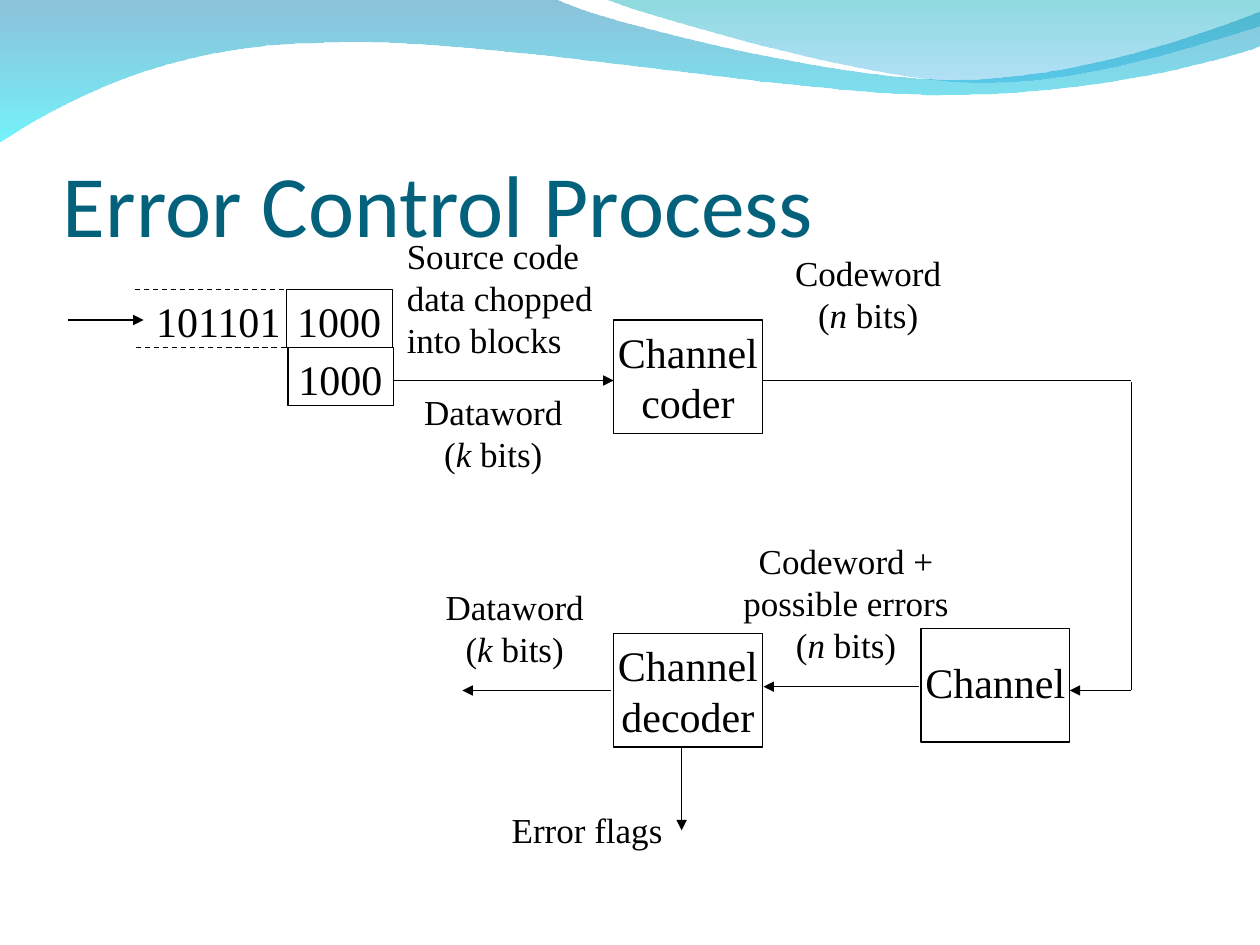
from dataclasses import dataclass

from lxml.etree import SubElement
from pptx import Presentation
from pptx.dml.color import RGBColor
from pptx.enum.dml import MSO_LINE
from pptx.enum.shapes import MSO_CONNECTOR, MSO_SHAPE
from pptx.enum.text import MSO_ANCHOR, PP_ALIGN
from pptx.oxml.ns import qn
from pptx.util import Inches, Pt

COLUMNS, ROWS = 100, 75
SLIDE_WIDTH, SLIDE_HEIGHT = Inches(10), Inches(7.5)
COLUMN, ROW = SLIDE_WIDTH / COLUMNS, SLIDE_HEIGHT / ROWS
COLORS = {
    "ink": "000000",
    "title": "04617B",
    "wave_blue": "0079AF",
    "wave_cyan": "00EBF8",
    "wave_teal": "00ADB6",
    "wave_sky": "009BE5",
}
TEXT_FONT = "Times New Roman"
BLOCK = (8.4, 4.6)
NODE = (11.8, 9)


@dataclass
class Box:
    left: float
    top: float
    width: float
    height: float

    def point(self, column, row):
        return round((self.left + column) * COLUMN), round((self.top + row) * ROW)

    def area(self, column, row, width, height):
        return *self.point(column, row), round(width * COLUMN), round(height * ROW)


def color(name):
    return RGBColor.from_string(COLORS[name])


def write(shape, runs, size, left=1, right=1, align=PP_ALIGN.LEFT,
          anchor=MSO_ANCHOR.TOP, font=TEXT_FONT, ink="ink"):
    frame_format = {
        "word_wrap": True,
        "vertical_anchor": anchor,
        "margin_left": round(left * COLUMN),
        "margin_right": round(right * COLUMN),
    }
    for name, value in frame_format.items():
        setattr(shape.text_frame, name, value)
    paragraph = shape.text_frame.paragraphs[0]
    paragraph.alignment = align
    for index, text in enumerate(runs):
        run = paragraph.add_run()
        run.text = text
        run_format = {"name": font, "size": Pt(size), "italic": index % 2 == 1}
        for name, value in run_format.items():
            setattr(run.font, name, value)
        run.font.color.rgb = color(ink)


def add_label(parent, box, area, *runs, size=20, align=PP_ALIGN.CENTER):
    write(parent.shapes.add_textbox(*box.area(*area)), runs, size, align=align)


def add_framed_text(slide, box, corner, size, label_area, text, align):
    group = slide.shapes.add_group_shape()
    frame = group.shapes.add_shape(MSO_SHAPE.RECTANGLE, *box.area(*corner, *size))
    frame.shadow.inherit = False
    frame.fill.background()
    frame.line.color.rgb = color("ink")
    frame.line.width = Pt(0.75)
    add_label(group, box, label_area, text, size=24, align=align)


def add_node(slide, box, corner, text, drop=0):
    column, row = corner
    label_area = (column - 0.75, row + drop, 13.3, NODE[1] - 2 * drop)
    add_framed_text(slide, box, corner, NODE, label_area, text, PP_ALIGN.CENTER)


def add_line(slide, box, start, end, arrow=True, dash=None):
    line = slide.shapes.add_connector(
        MSO_CONNECTOR.STRAIGHT, *box.point(*start), *box.point(*end))
    line.line.color.rgb = color("ink")
    line.line.width = Pt(0.75)
    if dash:
        line.line.dash_style = dash
    properties = line.element.spPr
    if arrow:
        SubElement(properties.find(qn("a:ln")), qn("a:tailEnd"), type="triangle")
    SubElement(properties, qn("a:effectLst"))


def bend_segments(wave, pieces):
    segments = wave.element.spPr.iter(qn("a:lnTo"))
    segments = iter(list(segments))
    for piece in pieces:
        first, *others = [next(segments) for _ in piece]
        if others:
            curve = first.getparent().makeelement(qn("a:cubicBezTo"))
            first.addprevious(curve)
            for segment in (first, *others):
                curve.append(segment[0])
                segment.getparent().remove(segment)


def add_wave(slide, box, start, pieces, stops):
    builder = slide.shapes.build_freeform(*box.point(*start))
    builder.add_line_segments([box.point(*point) for piece in pieces for point in piece])
    wave = builder.convert_to_shape()
    bend_segments(wave, pieces)
    wave.shadow.inherit = False
    wave.line.fill.background()
    wave.fill.gradient()
    wave.fill.gradient_angle = 270
    for stop, position, (name, _) in zip(wave.fill.gradient_stops, (0, 1), stops):
        stop.position = position
        stop.color.rgb = color(name)
    fills = wave.element.spPr.iter(qn("a:srgbClr"))
    for fill, (_, opacity) in zip(fills, stops):
        SubElement(fill, qn("a:alpha"), val=str(opacity * 1000))


def add_header(slide, box):
    add_wave(slide, box, (0, -0.1), [
        [(44, -0.1)],
        [(47.6, 1.7), (66.4, 6.3), (75.8, 6.3)],
        [(85.3, 6.3), (95.8, 2.6), (100, 0.9)],
        [(100.1, 3.6)],
        [(98.3, 4.4), (87, 7.6), (74.6, 7.5)],
        [(62.2, 7.5), (38.2, 2.8), (25.7, 3.4)],
        [(12.9, 3.5), (4.6, 8.3), (-0.1, 11.3)],
    ], [("wave_blue", 45), ("wave_cyan", 55)])
    add_wave(slide, box, (47.9, -0.1), [
        [(50.9, 1.1), (68.2, 6.2), (76.9, 6.5)],
        [(85.6, 6.9), (96.1, 3.2), (100, 2.1)],
        [(100, 0)],
    ], [("wave_teal", 45), ("wave_sky", 30)])


def add_title(slide, box):
    title = slide.shapes.add_textbox(*box.area(0, 0, box.width, box.height))
    write(title, ["Error Control Process"], 50, left=0, right=0,
          anchor=MSO_ANCHOR.BOTTOM, font="Calibri", ink="title")
    title.text_frame.margin_bottom = 0


def add_source(slide, box):
    for index in range(2):
        shift, row = index * 0.1, index * BLOCK[1]
        add_framed_text(slide, box, (17.35 + shift, row), BLOCK,
                        (17.2 + shift, row, 11.2, 5), "1000", PP_ALIGN.LEFT)
        add_line(slide, box, (5.3 + shift, row), (17.4 + shift, row),
                 arrow=False, dash=MSO_LINE.DASH)
    add_label(slide, box, (6, 0, 12.2, 5), "101101", size=24, align=PP_ALIGN.LEFT)
    add_line(slide, box, (0, 2.4), (6, 2.4))


def add_coder(slide, box):
    add_label(slide, box, (0, 0, 19.8, 11), "Source code data chopped into blocks",
              align=PP_ALIGN.LEFT)
    add_label(slide, box, (0.9, 12.4, 13.9, 7.7), "Dataword (", "k", " bits)")
    add_line(slide, box, (0, 12.1), (17.4, 12.1))
    add_node(slide, box, (17.4, 7.3), "Channel coder")
    add_label(slide, box, (29.7, 1.4, 15.8, 7.7), "Codeword (", "n", " bits)")


def add_link(slide, box):
    right, bottom = box.width, box.height
    add_line(slide, box, (0, 0), (right, 0), arrow=False)
    add_line(slide, box, (right, 0.1), (right, bottom), arrow=False)
    add_line(slide, box, (right, bottom), (right - 4.9, bottom))


def add_decoder(slide, box):
    add_node(slide, box, (39.2, 7.6), "Channel", drop=1.7)
    add_label(slide, box, (23.4, 0, 19.7, 11), "Codeword + possible errors (", "n", " bits)")
    add_line(slide, box, (39, 12.2), (26.7, 12.2))
    add_node(slide, box, (14.8, 8), "Channel decoder")
    add_line(slide, box, (14.6, 12.5), (2.8, 12.5))
    add_label(slide, box, (0, 3.7, 13.9, 7.7), "Dataword (", "k", " bits)")
    add_line(slide, box, (20.2, 17.1), (20.2, 23.6))
    add_label(slide, box, (5.2, 21.4, 15, 4.4), "Error flags")


def main():
    presentation = Presentation()
    presentation.slide_width, presentation.slide_height = SLIDE_WIDTH, SLIDE_HEIGHT
    slide = presentation.slides.add_slide(presentation.slide_layouts[6])
    add_header(slide, Box(0, 0, COLUMNS, 11.3))
    add_title(slide, Box(5, 7.7, 90, 12.5))
    add_source(slide, Box(5.4, 23, 25.8, 9.2))
    add_coder(slide, Box(31.3, 18.1, 45.5, 20.1))
    add_link(slide, Box(60.5, 30.2, 29.3, 24.6))
    add_decoder(slide, Box(33.9, 42.3, 51, 25.8))
    presentation.save("out.pptx")


if __name__ == "__main__":
    main()
